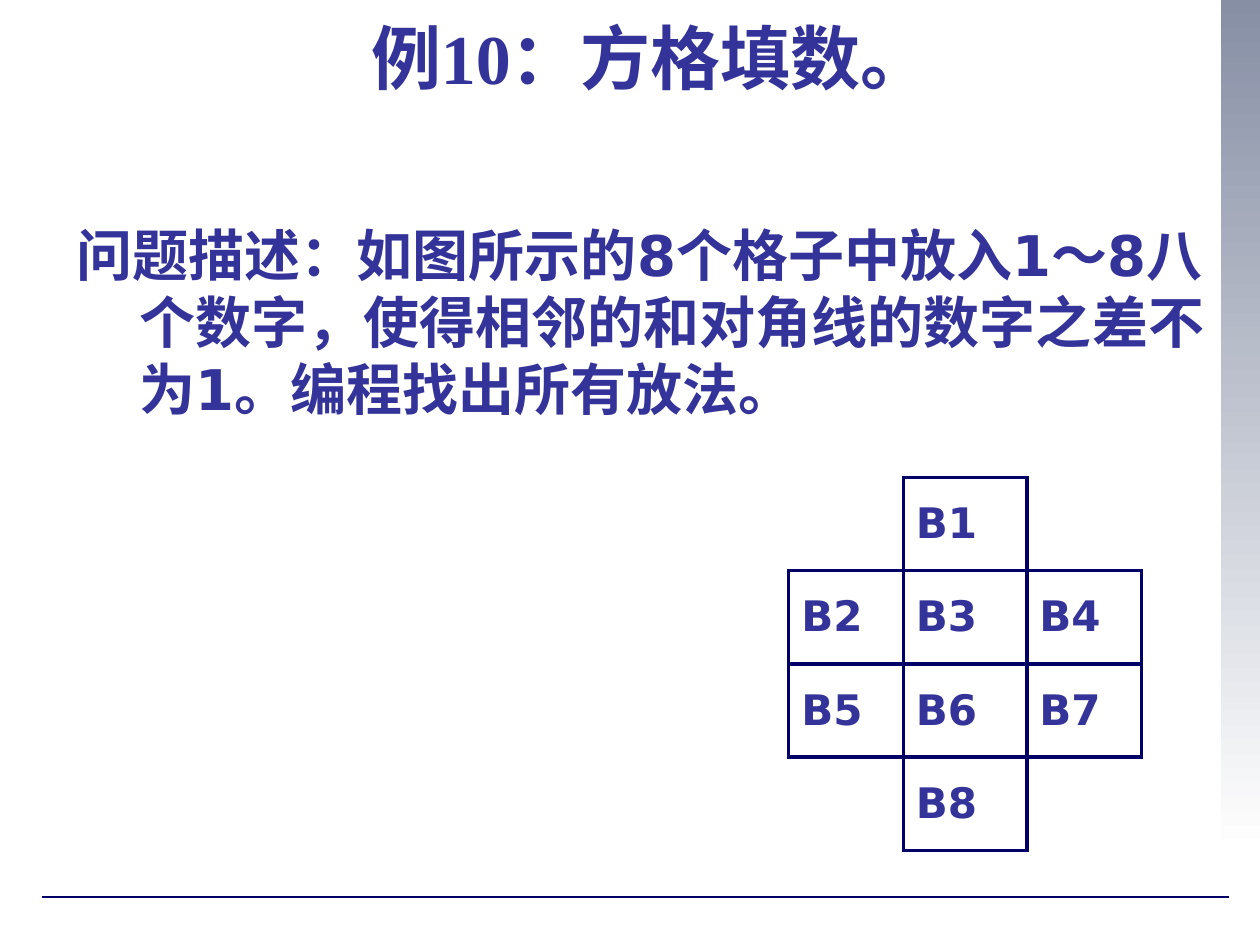
from lxml import etree
from pptx import Presentation
from pptx.dml.color import RGBColor
from pptx.enum.shapes import MSO_CONNECTOR, MSO_SHAPE
from pptx.enum.text import MSO_ANCHOR, PP_ALIGN
from pptx.oxml.ns import qn
from pptx.util import Inches, Pt

STRAIGHT = MSO_CONNECTOR.STRAIGHT
RECTANGLE = MSO_SHAPE.RECTANGLE
MIDDLE = MSO_ANCHOR.MIDDLE
CENTER = PP_ALIGN.CENTER

NAVY = RGBColor(0x00, 0x00, 0x66)
INDIGO = RGBColor(0x33, 0x33, 0x99)
SLATE = RGBColor(0x87, 0x8F, 0xA5)
WHITE = RGBColor(0xFF, 0xFF, 0xFF)
GRID = [
    ["", "B1", ""],
    ["B2", "B3", "B4"],
    ["B5", "B6", "B7"],
    ["", "B8", ""],
]


def add_bold_run(paragraph, text, size, font_name):
    run = paragraph.add_run()
    run.text = text
    run.font.size = Pt(size)
    run.font.name = font_name
    run.font.bold = True
    run.font.color.rgb = INDIGO


def is_filled(row, col):
    """Tell whether a grid position holds a box; positions off the grid do not."""
    return 0 <= row < len(GRID) and 0 <= col < len(GRID[0]) and GRID[row][col] != ""


prs = Presentation()
prs.slide_width = Inches(10)
prs.slide_height = Inches(7.5)
slide = prs.slides.add_slide(prs.slide_layouts[6])

# Side band and footer rule
side_band = slide.shapes.add_shape(RECTANGLE, Inches(9.69), 0, Inches(0.31), Inches(6.77))
side_band.shadow.inherit = False
side_band.line.fill.background()
side_band.fill.gradient()
side_band.fill.gradient_angle = 270
for stop, color in zip(side_band.fill.gradient_stops, (SLATE, WHITE)):
    stop.color.rgb = color

footer_rule = slide.shapes.add_connector(
    STRAIGHT, Inches(0.33), Inches(7.12), Inches(9.75), Inches(7.12))
footer_rule.line.color.rgb = NAVY
footer_rule.line.width = Pt(0.75)
etree.SubElement(footer_rule._element.spPr, qn("a:effectLst"))

# Title and problem statement
title = slide.shapes.add_textbox(Inches(1.25), Inches(0.12), Inches(7.83), Inches(0.65))
problem = slide.shapes.add_textbox(Inches(0.51), Inches(1.7), Inches(9.21), Inches(1.72))
for box, text, size, font_name in (
    (title, "例10：方格填数。", 40, "Times New Roman"),
    (problem, "问题描述：如图所示的8个格子中放入1～8八个数字，"
              "使得相邻的和对角线的数字之差不为1。编程找出所有放法。", 32, "DejaVu Sans"),
):
    box.text_frame.word_wrap = True
    paragraph = box.text_frame.paragraphs[0]
    indent = paragraph._p.get_or_add_pPr()
    indent.set("marL", str(Inches(0.5)))
    indent.set("indent", str(Inches(-0.5)))
    add_bold_run(paragraph, text, size, font_name)
title.text_frame.vertical_anchor = MIDDLE
title.text_frame.paragraphs[0].alignment = CENTER

# Cross-shaped number grid
number_grid = slide.shapes.add_table(
    len(GRID), len(GRID[0]), Inches(6.26), Inches(3.79), Inches(2.8), Inches(2.96)).table
number_grid.first_row = False
number_grid.horz_banding = False
for column, width in zip(number_grid.columns, (0.91, 0.98, 0.91)):
    column.width = Inches(width)
for grid_row in number_grid.rows:
    grid_row.height = Inches(0.74)

for row, labels in enumerate(GRID):
    for col, label in enumerate(labels):
        cell = number_grid.cell(row, col)
        cell.vertical_anchor = MIDDLE
        cell_props = cell._tc.get_or_add_tcPr()
        # An edge is drawn where a box lies on either side of it
        for side, d_row, d_col in (("L", 0, -1), ("R", 0, 1), ("T", -1, 0), ("B", 1, 0)):
            edge = etree.SubElement(cell_props, qn(f"a:ln{side}"), w=str(Pt(2.25)))
            if label or is_filled(row + d_row, col + d_col):
                edge_fill = etree.SubElement(edge, qn("a:solidFill"))
                etree.SubElement(edge_fill, qn("a:srgbClr"), val=str(NAVY))
            else:
                etree.SubElement(edge, qn("a:noFill"))
        cell.fill.background()
        if label:
            add_bold_run(cell.text_frame.paragraphs[0], label, 24, "DejaVu Sans")

prs.save("out.pptx")
